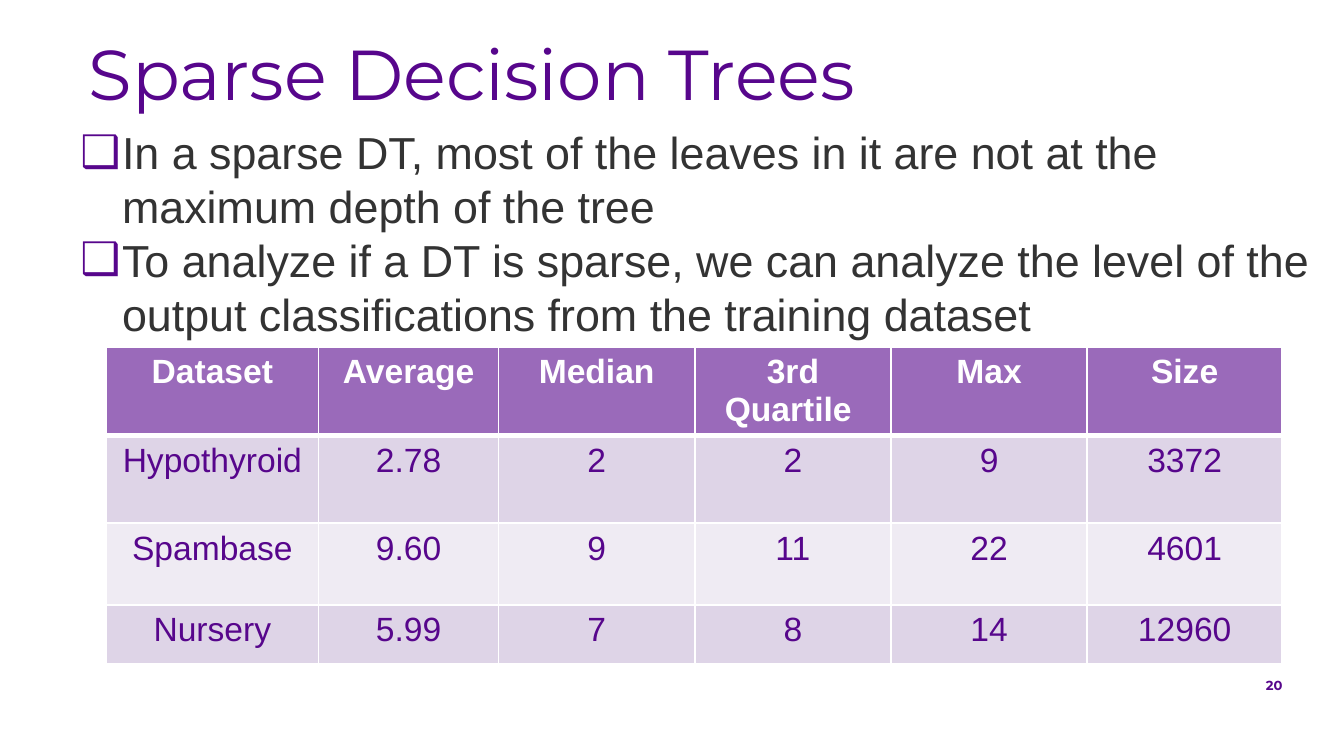
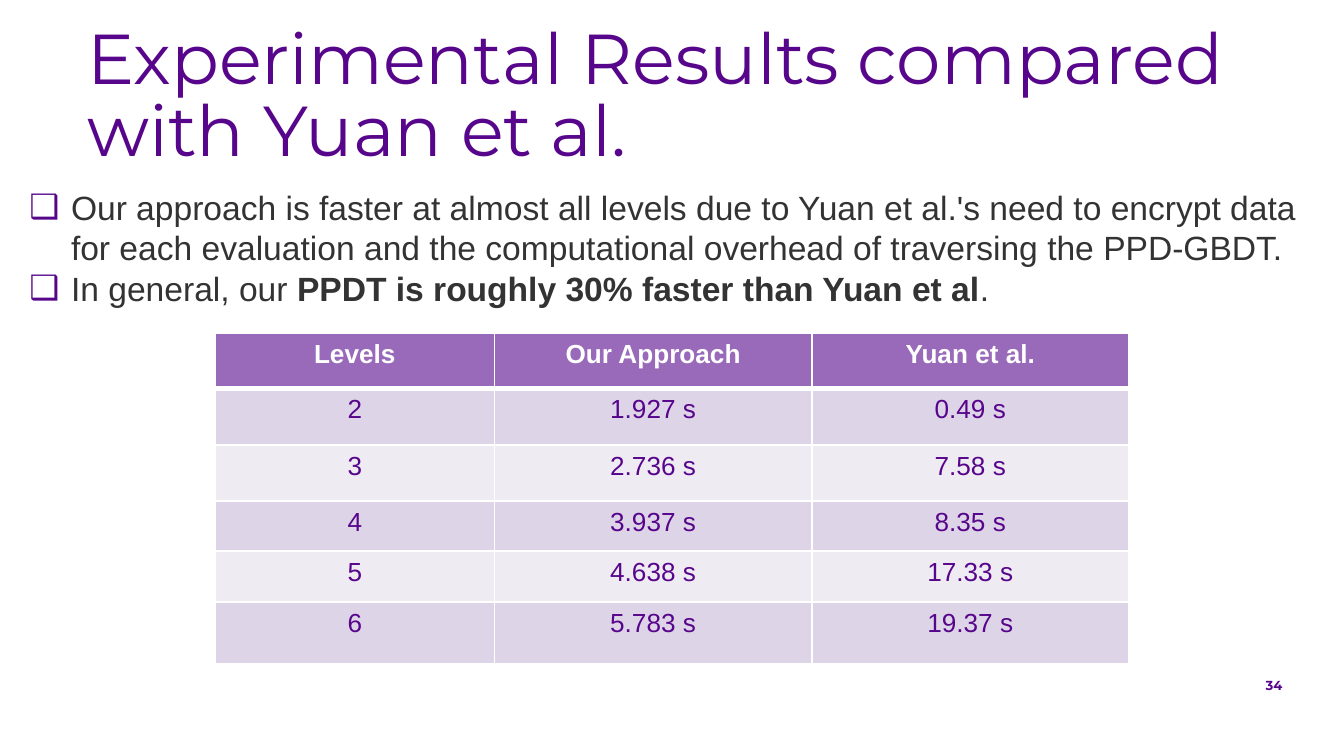
import pptx
import pptx.dml.color
import pptx.enum.text
import pptx.oxml
import pptx.oxml.ns
import pptx.util

PX = 9144  # one hundred px to the inch
COLORS = {
    "purple": "57068C",
    "text": "333333",
    "header": "9A6ABA",
    "odd_row": "DED4E7",
    "even_row": "EFEBF3",
    "white": "FFFFFF",
}
TITLE_FONT = "Montserrat"
BODY_FONT = "Arial"
BULLET_INDENT, BULLET_HANG = 81, 31
ALIGN = pptx.enum.text.PP_ALIGN
ANCHOR = pptx.enum.text.MSO_ANCHOR


def px(length):
    return pptx.util.Emu(length * PX)


def rgb(name):
    return pptx.dml.color.RGBColor.from_string(COLORS[name])


def drawing_element(xml):
    """Parse one DrawingML element written with the a: prefix."""
    tag, rest = xml.split(" ", 1)
    return pptx.oxml.parse_xml(f"{tag} {pptx.oxml.ns.nsdecls('a')} {rest}")


def format_runs(paragraph, font_name, size, color, bold=False):
    for run in paragraph.runs:
        run.font.name = font_name
        run.font.size = pptx.util.Pt(size)
        run.font.color.rgb = rgb(color)
        run.font.bold = bold


def prepare_frame(text_frame):
    text_frame.word_wrap = True
    text_frame.auto_size = pptx.enum.text.MSO_AUTO_SIZE.NONE
    text_frame.vertical_anchor = ANCHOR.TOP
    for side in ("left", "top", "right", "bottom"):
        setattr(text_frame, f"margin_{side}", px(10))


def add_text_box(slide, box):
    shape = slide.shapes.add_textbox(*map(px, box))
    prepare_frame(shape.text_frame)
    return shape.text_frame


def add_titled_slide(presentation, title, title_box, number):
    slide = presentation.slides.add_slide(presentation.slide_layouts[5])
    shape = slide.shapes.title
    shape.left, shape.top, shape.width, shape.height = map(px, title_box)
    prepare_frame(shape.text_frame)
    shape.text_frame.text = title
    paragraph = shape.text_frame.paragraphs[0]
    paragraph.alignment = ALIGN.LEFT
    paragraph.line_spacing = 0.85
    format_runs(paragraph, TITLE_FONT, 37.8, "purple")
    add_page_number(slide, number)
    return slide


def add_page_number(slide, number):
    text_frame = add_text_box(slide, (505, 494, 459, 34))
    text_frame.text = str(number)
    paragraph = text_frame.paragraphs[0]
    paragraph.alignment = ALIGN.RIGHT
    format_runs(paragraph, TITLE_FONT, 7, "purple", bold=True)


def add_bullets(slide, box, items, size):
    """Each item is a list of text pieces; every second piece is bold."""
    text_frame = add_text_box(slide, box)
    for index, pieces in enumerate(items):
        paragraph = text_frame.add_paragraph() if index else text_frame.paragraphs[0]
        properties = paragraph._p.get_or_add_pPr()
        properties.set("marL", str(px(BULLET_INDENT)))
        properties.set("indent", str(-px(BULLET_HANG)))
        for xml in (f'<a:buClr ><a:srgbClr val="{COLORS["purple"]}"/></a:buClr>',
                    f'<a:buFont typeface="{BODY_FONT}"/>',
                    '<a:buChar char="❑"/>'):
            properties.append(drawing_element(xml))
        for piece in pieces:
            paragraph.add_run().text = piece
        format_runs(paragraph, BODY_FONT, size, "text")
        for run in paragraph.runs[1::2]:
            run.font.bold = True


def set_borders(cell, top, bottom):
    properties = cell._tc.get_or_add_tcPr()
    for side, points in (("L", 1), ("R", 1), ("T", top), ("B", bottom)):
        properties.append(drawing_element(
            f'<a:ln{side} w="{pptx.util.Pt(points)}"><a:solidFill>'
            f'<a:srgbClr val="{COLORS["white"]}"/></a:solidFill></a:ln{side}>'
            .replace('"><a:solidFill>', '" ><a:solidFill>')))


def add_table(slide, position, column_widths, row_heights, rows, size):
    box = (*position, sum(column_widths), sum(row_heights))
    table = slide.shapes.add_table(len(rows), len(column_widths), *map(px, box)).table
    table.horz_banding = False
    for column, width in zip(table.columns, column_widths):
        column.width = px(width)
    for row, height in zip(table.rows, row_heights):
        row.height = px(height)
    for row_index, values in enumerate(rows):
        is_header = row_index == 0
        fill = "header" if is_header else "odd_row" if row_index % 2 else "even_row"
        for column_index, value in enumerate(values):
            cell = table.cell(row_index, column_index)
            set_borders(cell, top=3 if row_index == 1 else 1, bottom=3 if is_header else 1)
            cell.fill.solid()
            cell.fill.fore_color.rgb = rgb(fill)
            cell.text_frame.text = value
            paragraph = cell.text_frame.paragraphs[0]
            paragraph.alignment = ALIGN.CENTER
            format_runs(paragraph, BODY_FONT, size,
                        "white" if is_header else "purple", bold=is_header)


def build_sparse_trees(presentation):
    slide = add_titled_slide(presentation, "Sparse Decision Trees", (56, 22, 921, 60), 20)
    add_bullets(slide, (0, 83, 988, 472), [
        ["In a sparse DT, most of the leaves in it are not at the maximum depth of the tree"],
        ["To analyze if a DT is sparse, we can analyze the level of the output "
         "classifications from the training dataset"],
    ], 24)
    add_table(slide, (79, 258), [158, 134, 146, 146, 146, 145], [65, 65, 61, 44], [
        ["Dataset", "Average", "Median", "3rd Quartile ", "Max", "Size"],
        ["Hypothyroid", "2.78", "2", "2", "9", "3372"],
        ["Spambase", "9.60", "9", "11", "22", "4601"],
        ["Nursery", "5.99", "7", "8", "14", "12960"],
    ], 18)


def build_results(presentation):
    slide = add_titled_slide(presentation, "Experimental Results compared with Yuan et al.",
                             (55, 10, 921, 119), 34)
    add_bullets(slide, (-38, 129, 1015, 119), [
        ["Our approach is faster at almost all levels due to Yuan et al.'s need to encrypt "
         "data for each evaluation and the computational overhead of traversing the PPD-GBDT."],
        ["In general, our ", "PPDT is roughly 30% faster than Yuan et al", "."],
    ], 18)
    add_table(slide, (160, 248), [208, 236, 236], [41, 42, 42, 37, 38, 46], [
        ["Levels", "Our Approach", "Yuan et al."],
        ["2", "1.927 s", "0.49 s"],
        ["3", "2.736 s", "7.58 s"],
        ["4", "3.937 s", "8.35 s"],
        ["5", "4.638 s", "17.33 s"],
        ["6", "5.783 s", "19.37 s"],
    ], 14)


def main():
    presentation = pptx.Presentation()
    presentation.slide_width = px(1000)
    presentation.slide_height = presentation.slide_width * 9 // 16
    build_sparse_trees(presentation)
    build_results(presentation)
    presentation.save("out.pptx")


if __name__ == "__main__":
    main()
